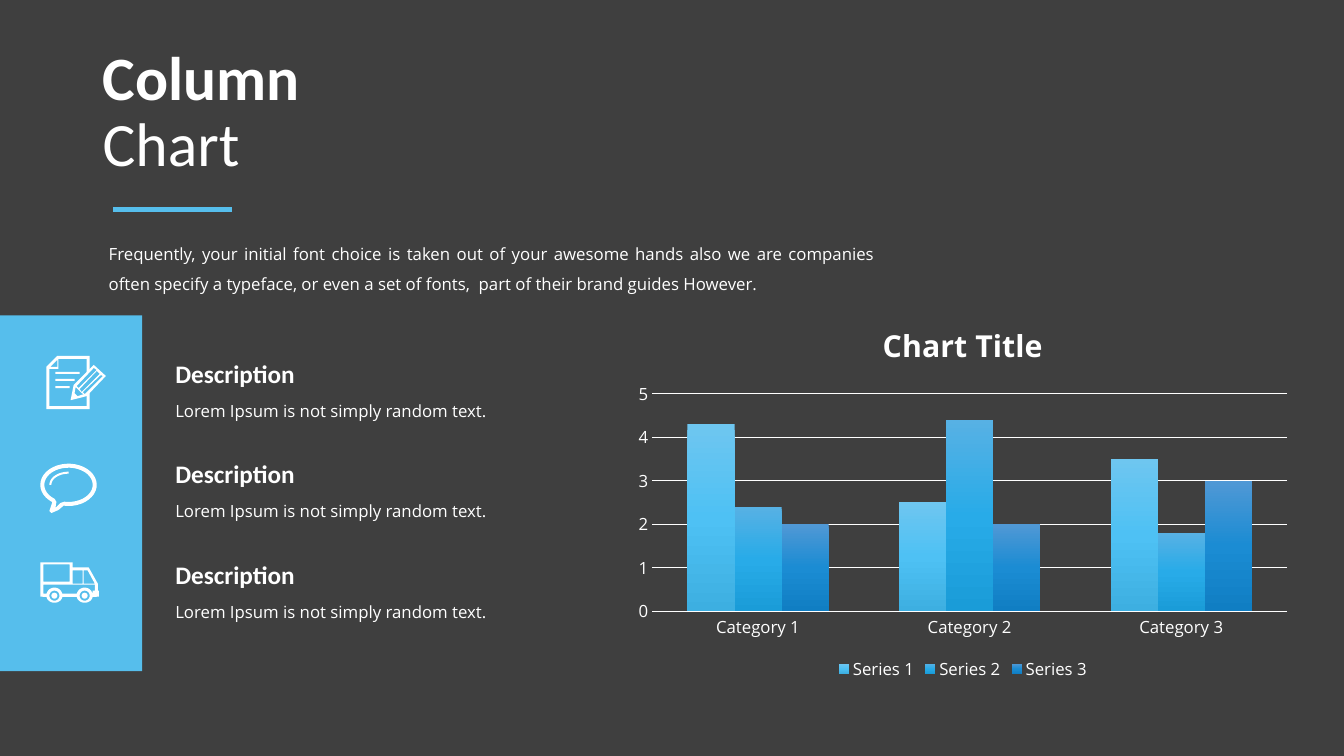
from copy import deepcopy
from math import cos, radians, sin

from lxml import etree
from pptx import Presentation
from pptx import util as u
from pptx.chart import data as cd
from pptx.dml import color
from pptx.enum import chart as ce
from pptx.enum import shapes, text
from pptx.oxml import ns

Inches = u.Inches


def rgb(value):
    """Return the colour of a hex string."""
    return color.RGBColor.from_string(value)


def arc(cx, cy, rx, ry, start=0, end=360, steps=36):
    """Return points along an elliptic arc, clockwise on screen for a rising angle."""
    angles = [radians(start + (end - start) * i / steps) for i in range(steps + 1)]
    return [(cx + rx * cos(a), cy + ry * sin(a)) for a in angles]


def box(x1, y1, x2, y2):
    """Return the corners of a rectangle."""
    return [(x1, y1), (x2, y1), (x2, y2), (x1, y2)]


class Deck:
    """Holds the style and the current slide."""

    WHITE, BLUE, DARK = "FFFFFF", "56BEEC", "3F3F3F"
    HEAD, BODY = "Calibri", "Open Sans"

    def __init__(self):
        self.prs = Presentation()
        self.prs.slide_width, self.prs.slide_height = Inches(13.33), Inches(7.5)
        self.s = self.prs.slides.add_slide(self.prs.slide_layouts[6])
        fill = self.s.background.fill
        fill.solid()
        fill.fore_color.rgb = rgb(self.DARK)

    def font(self, font, size, name=BODY, bold=False):
        font.size, font.name, font.bold = u.Pt(size), name, bold
        font.color.rgb = rgb(self.WHITE)

    def paint(self, sp, fill):
        sp.shadow.inherit = False
        sp.fill.solid()
        sp.fill.fore_color.rgb = rgb(fill)
        sp.line.fill.background()

    def shape(self, kind, x, y, w, h, fill=WHITE):
        sp = self.s.shapes.add_shape(kind, Inches(x), Inches(y), Inches(w), Inches(h))
        self.paint(sp, fill)

    def outline(self, *contours):
        builder = None
        for contour in contours:
            pts = [(Inches(x), Inches(y)) for x, y in contour]
            if builder is None:
                builder = self.s.shapes.build_freeform(*pts[0], scale=1.0)
            else:
                builder.move_to(*pts[0])
            builder.add_line_segments(pts[1:], close=True)
        self.paint(builder.convert_to_shape(), self.WHITE)

    def line(self, x1, y1, x2, y2, width):
        cn = self.s.shapes.add_connector(
            shapes.MSO_CONNECTOR.STRAIGHT, Inches(x1), Inches(y1), Inches(x2), Inches(y2))
        cn.line.color.rgb = rgb(self.BLUE)
        cn.line.width = u.Pt(width)
        etree.SubElement(cn._element.spPr, ns.qn("a:effectLst"))

    def text(self, x, y, w, h, runs, size, name=BODY, spacing=1.0, before=0,
             wrap=True, align=text.PP_ALIGN.LEFT, anchor=text.MSO_ANCHOR.TOP):
        tf = self.s.shapes.add_textbox(Inches(x), Inches(y), Inches(w), Inches(h)).text_frame
        tf.word_wrap, tf.vertical_anchor = wrap, anchor
        p = tf.paragraphs[0]
        p.alignment, p.line_spacing, p.space_before = align, spacing, u.Pt(before)
        for i, (words, bold) in enumerate(runs):
            if i:
                p.add_line_break()
            r = p.add_run()
            r.text = words
            self.font(r.font, size, name, bold)

    def columns(self, x, y, w, h, title, cats, series):
        data = cd.CategoryChartData()
        data.categories = cats
        for name, values, _ in series:
            data.add_series(name, values)
        chart = self.s.shapes.add_chart(
            ce.XL_CHART_TYPE.COLUMN_CLUSTERED,
            Inches(x), Inches(y), Inches(w), Inches(h), data).chart
        self.font(chart.font, 10)
        chart.has_title = True
        r = chart.chart_title.text_frame.paragraphs[0].add_run()
        r.text = title
        self.font(r.font, 21.6, bold=True)
        chart.chart_title.include_in_layout = False
        chart.has_legend = True
        chart.legend.position = ce.XL_LEGEND_POSITION.BOTTOM
        chart.legend.include_in_layout = False
        self.font(chart.legend.font, 12)

        cat, val = chart.category_axis, chart.value_axis
        for axis in (cat, val):
            axis.major_tick_mark = axis.minor_tick_mark = ce.XL_TICK_MARK.NONE
            self.font(axis.tick_labels.font, 12)
        val.minimum_scale, val.maximum_scale, val.major_unit = 0, 5, 1
        val.format.line.fill.background()
        val.has_major_gridlines = True
        for line, width in ((cat.format.line, 1), (val.major_gridlines.format.line, 0.75)):
            line.color.rgb = rgb(self.WHITE)
            line.width = u.Pt(width)

        plot = chart.plots[0]
        plot.gap_width, plot.overlap, plot.vary_by_categories = 150, 0, False
        for bars, (_, _, shades) in zip(plot.series, series):
            self.gradient(bars.format.fill, shades)

    def gradient(self, fill, shades):
        fill.gradient()
        fill.gradient_angle = 270
        last = fill.gradient_stops[1]._gs
        last.addnext(deepcopy(last))
        for i, (stop, shade) in enumerate(zip(fill.gradient_stops, shades)):
            stop.position, stop.color.rgb = i / 2, rgb(shade)

    def note_icon(self):
        for y, w in ((3.69, 0.24), (3.76, 0.19), (3.83, 0.14)):
            self.shape(shapes.MSO_SHAPE.RECTANGLE, 0.55, y, w, 0.02)
        self.outline(
            [(0.86, 4.03), (0.49, 4.03), (0.49, 3.66), (0.58, 3.66), (0.58, 3.56),
             (0.86, 3.56), (0.86, 3.7), (0.89, 3.67), (0.89, 3.53), (0.57, 3.53),
             (0.46, 3.64), (0.46, 4.06), (0.89, 4.06), (0.89, 3.89), (0.86, 3.93)],
            [(0.5, 3.64), (0.57, 3.57), (0.57, 3.64)])
        self.outline(
            [(0.73, 3.82), (0.7, 3.97), (0.86, 3.93), (1.05, 3.73), (0.93, 3.62)],
            [(0.99, 3.71), (0.81, 3.89), (0.79, 3.86), (0.96, 3.68)],
            [(0.78, 3.85), (0.76, 3.83), (0.93, 3.65), (0.96, 3.67)],
            [(0.77, 3.86), (0.81, 3.9), (0.83, 3.91), (0.77, 3.93), (0.74, 3.9), (0.75, 3.84)],
            [(0.84, 3.91), (0.82, 3.89), (1, 3.72), (1.02, 3.73)])

    def bubble_icon(self):
        cx, cy = 0.68, 4.81
        self.outline(arc(cx, cy, 0.19, 0.13, 180, 270) + arc(cx, cy, 0.17, 0.11, 270, 180))
        self.outline(
            arc(cx, cy, 0.28, 0.21, 125, 460) + [(0.58, 5.06), (0.51, 5.09), (0.49, 5.07)],
            arc(cx, cy, 0.24, 0.17, 125, 460) + [(0.6, 4.99), (0.55, 5.04), (0.56, 4.98)])

    def truck_icon(self):
        rear, front, cy = 0.54, 0.84, 5.91
        self.outline(
            [(0.4, 5.58), (0.72, 5.58), (0.72, 5.63), (0.88, 5.63), (0.97, 5.79),
             (0.97, 5.86), (0.98, 5.86), (0.98, 5.92)]
            + arc(front, cy, 0.08, 0.07, 10, 170) + arc(rear, cy, 0.08, 0.07, 10, 170)
            + [(0.4, 5.92)],
            [(0.83, 5.66), (0.87, 5.66), (0.94, 5.79), (0.83, 5.79)],
            box(0.72, 5.66, 0.82, 5.79),
            box(0.43, 5.6, 0.69, 5.77),
            [(0.43, 5.8), (0.94, 5.8), (0.94, 5.86), (0.92, 5.86), (0.92, 5.89)]
            + arc(front, cy, 0.08, 0.08, -15, -165) + arc(rear, cy, 0.08, 0.08, -15, -165)
            + [(0.43, 5.89)],
            *[arc(cx, cy, 0.05, 0.05) for cx in (rear, front)])
        for cx in (rear, front):
            self.shape(shapes.MSO_SHAPE.OVAL, cx - 0.03, cy - 0.03, 0.06, 0.06)


deck = Deck()
deck.line(1.12, 2.08, 2.3, 2.08, 3.5)
deck.shape(shapes.MSO_SHAPE.RECTANGLE, 0, 3.13, 1.41, 3.53, Deck.BLUE)
deck.text(0.92, 0.4, 11.5, 1.45, [("Column", True), ("Chart", False)], 44, Deck.HEAD,
          spacing=0.9, anchor=text.MSO_ANCHOR.MIDDLE)
deck.columns(6.2, 3, 6.7, 3.79, "Chart Title", ["Category 1", "Category 2", "Category 3"], [
    ("Series 1", (4.3, 2.5, 3.5), ("6EC6F0", "4EC1F4", "3DAFE1")),
    ("Series 2", (2.4, 4.4, 1.8), ("57B1E4", "28ABE8", "1A9CD8")),
    ("Series 3", (2, 2, 3), ("5098D5", "1B8CD3", "107EC3"))])
deck.truck_icon()
deck.note_icon()
deck.bubble_icon()
deck.text(0.98, 2.27, 7.8, 0.74, [(
    "Frequently, your initial font choice is taken out of your awesome hands also we are "
    "companies often specify a typeface, or even a set of fonts,  part of their brand "
    "guides However.", False)], 12, spacing=1.5, before=10, align=text.PP_ALIGN.JUSTIFY)
for top in (3.51, 4.5, 5.5):
    deck.text(1.64, top, 1.6, 0.4, [("Description", True)], 18, Deck.HEAD, wrap=False)
    deck.text(1.64, top + 0.32, 3.33, 0.38,
              [("Lorem Ipsum is not simply random text.", False)], 12, spacing=1.5)
deck.prs.save("out.pptx")
